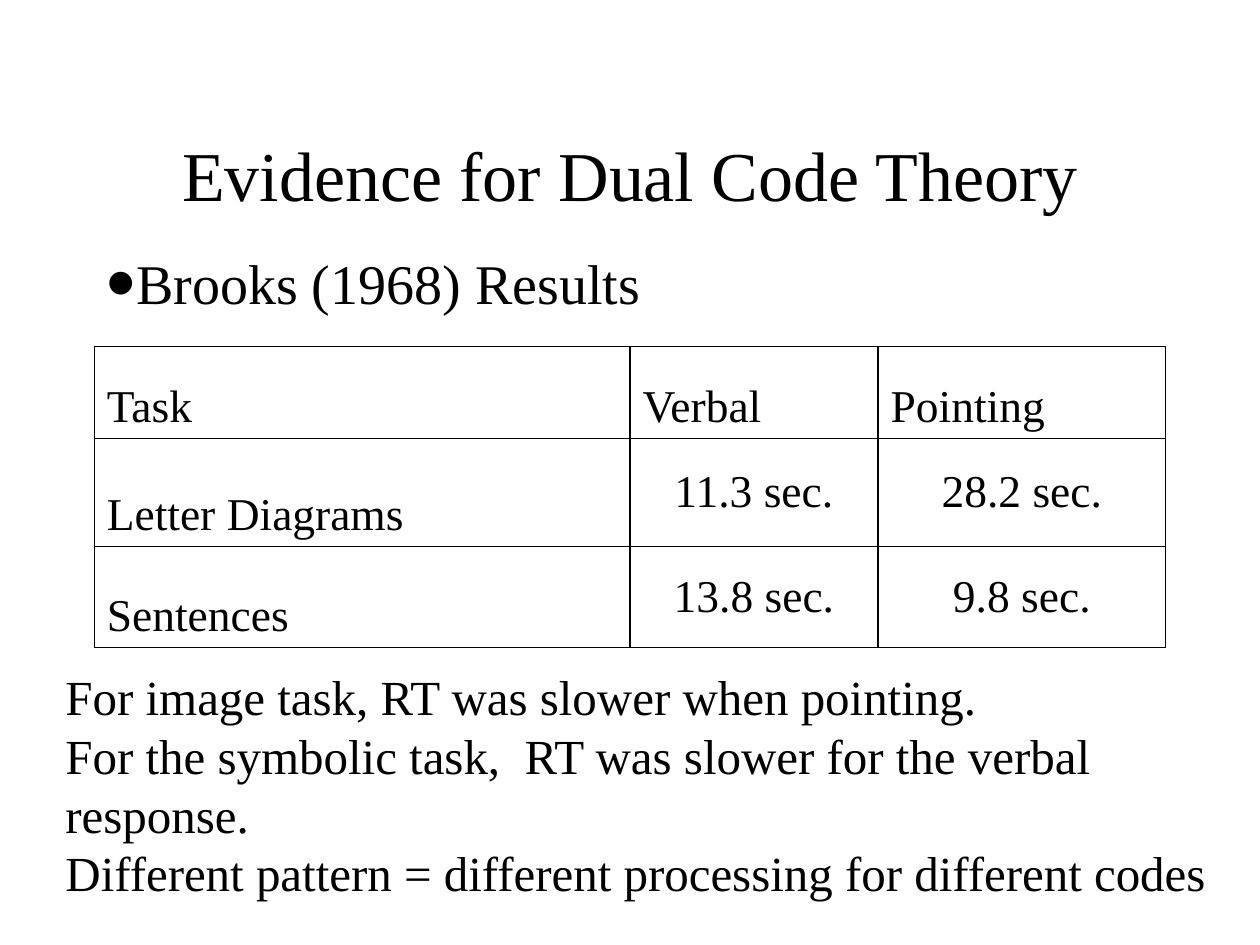
import pptx
import pptx.util
import pptx.dml.color
import pptx.enum.text
import pptx.oxml
import pptx.oxml.ns
import lxml.etree

Cm, Pt = pptx.util.Cm, pptx.util.Pt
Align = pptx.enum.text.PP_ALIGN
Anchor = pptx.enum.text.MSO_ANCHOR
Fit = pptx.enum.text.MSO_AUTO_SIZE
BLACK = pptx.dml.color.RGBColor(0, 0, 0)
WHITE = pptx.dml.color.RGBColor(255, 255, 255)
FONT = "Times New Roman"


def write(frame, text, size, align=Align.LEFT, anchor=Anchor.TOP, before=0):
    """Fill a text frame, one paragraph for each line of text."""
    frame.text = text
    frame.vertical_anchor = anchor
    for para in frame.paragraphs:
        para.alignment = align
        para.space_before = Pt(before)
        font = para.runs[0].font
        font.name, font.size = FONT, Pt(size)
        font.color.rgb = BLACK


def add(parent, tag, **attrs):
    """Append a drawing element with its attributes."""
    node = lxml.etree.SubElement(parent, pptx.oxml.ns.qn(tag))
    for key, value in attrs.items():
        node.set(key, str(value))
    return node


deck = pptx.Presentation()
deck.slide_width, deck.slide_height = Cm(25.4), Cm(19.05)
slide = deck.slides.add_slide(deck.slide_layouts[1])
slide.background.fill.solid()
slide.background.fill.fore_color.rgb = WHITE

# Title
title = slide.shapes.title
title.left, title.top, title.width, title.height = Cm(1.9), Cm(2.97), Cm(21.6), Cm(1.07)
write(title.text_frame, "Evidence for Dual Code Theory", 40,
      align=Align.CENTER, anchor=Anchor.MIDDLE)
title.text_frame.auto_size = Fit.NONE

# Bullet
body = slide.placeholders[1]
body.left, body.top, body.width, body.height = Cm(1.9), Cm(4.88), Cm(21.6), Cm(5.92)
write(body.text_frame, "Brooks (1968) Results", 32, before=6.4)
body.text_frame.auto_size = Fit.NONE
props = body.text_frame.paragraphs[0]._p.get_or_add_pPr()
props.set("marL", "0")
props.set("indent", "0")
add(props, "a:buSzPct", val=150000)
add(props, "a:buChar", char="•")

# Results table
rows = [
    ("Task", "Verbal", "Pointing"),
    ("Letter Diagrams", "11.3 sec.", "28.2 sec."),
    ("Sentences", "13.8 sec.", "9.8 sec."),
]
widths = (10.8, 5, 5.8)
heights = (1.85, 2.18, 2.03)
table = slide.shapes.add_table(3, 3, Cm(1.9), Cm(6.99), Cm(sum(widths)),
                               Cm(sum(heights))).table
table.first_row = table.horz_banding = False
for col, width in zip(table.columns, widths):
    col.width = Cm(width)
for r, row in enumerate(rows):
    table.rows[r].height = Cm(heights[r])
    for c, text in enumerate(row):
        cell = table.cell(r, c)
        value = r > 0 and c > 0
        write(cell.text_frame, text, 26, align=Align.CENTER if value else Align.LEFT)
        cell.vertical_anchor = Anchor.MIDDLE if value else Anchor.BOTTOM
        edges = cell._tc.get_or_add_tcPr()
        for side in "LRTB":
            line = add(edges, "a:ln" + side, w=Pt(1))
            add(add(line, "a:solidFill"), "a:srgbClr", val=BLACK)
        cell.fill.background()

# Conclusions
notes = slide.shapes.add_textbox(Cm(1.07), Cm(13.31), Cm(24.33), Cm(5.05)).text_frame
notes.word_wrap = True
notes.auto_size = Fit.SHAPE_TO_FIT_TEXT
write(notes, "For image task, RT was slower when pointing.\n"
      "For the symbolic task,  RT was slower for the verbal response.\n"
      "Different pattern = different processing for different codes", 28)

deck.save("out.pptx")
